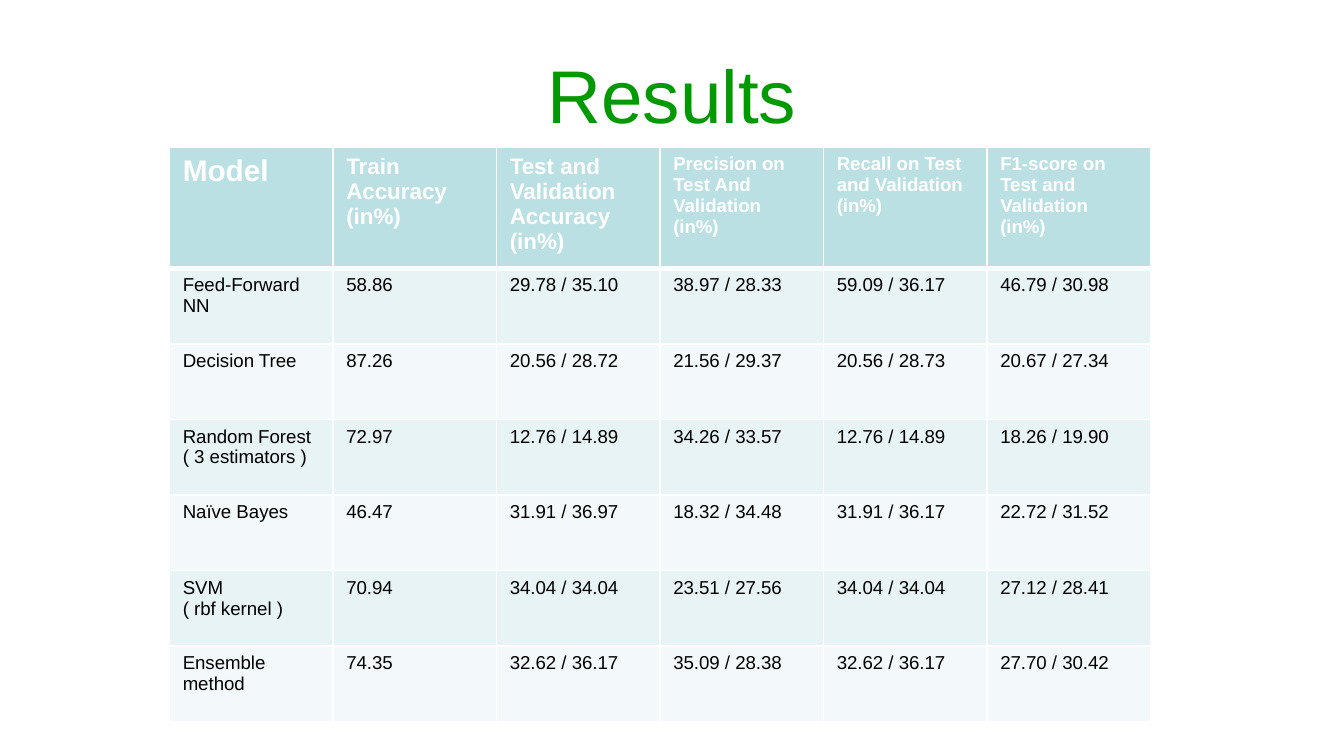
from lxml import etree
from pptx import Presentation
from pptx.dml.color import RGBColor
from pptx.enum.text import MSO_ANCHOR, PP_ALIGN
from pptx.oxml.ns import qn
from pptx.util import Inches, Pt

MIDDLE = MSO_ANCHOR.MIDDLE
LEFT, CENTER = PP_ALIGN.LEFT, PP_ALIGN.CENTER

WIDTH = Inches(10)
HEIGHT = WIDTH * 9 // 16
COL, ROW = Inches(7.3) // 6, HEIGHT // 10
TABLE_SIDE = Inches(3.28)
FONT = "Arial"
COLORS = {
    "title": "009900",
    "header": "BBE0E3",
    "odd": "E7F3F4",
    "even": "F3F9FA",
    "white": "FFFFFF",
    "text": "000000",
}

HEADERS = [
    ("Model", 16),
    ("Train Accuracy\n(in%)", 12),
    ("Test and Validation Accuracy (in%)", 12),
    ("Precision on Test And Validation\n(in%)", 10),
    ("Recall on Test and Validation\n(in%)", 10),
    ("F1-score on Test and Validation\n(in%)", 10),
]
RESULTS = [
    ("Feed-Forward NN", "58.86", "29.78 / 35.10", "38.97 / 28.33", "59.09 / 36.17", "46.79 / 30.98"),
    ("Decision Tree", "87.26", "20.56 / 28.72", "21.56 / 29.37", "20.56 / 28.73", "20.67 / 27.34"),
    ("Random Forest\n( 3 estimators )", "72.97", "12.76 / 14.89", "34.26 / 33.57", "12.76 / 14.89", "18.26 / 19.90"),
    ("Naïve Bayes", "46.47", "31.91 / 36.97", "18.32 / 34.48", "31.91 / 36.17", "22.72 / 31.52"),
    ("SVM \n( rbf kernel )", "70.94", "34.04 / 34.04", "23.51 / 27.56", "34.04 / 34.04", "27.12 / 28.41"),
    ("Ensemble method", "74.35", "32.62 / 36.17", "35.09 / 28.38", "32.62 / 36.17", "27.70 / 30.42"),
]


def rgb(name):
    return RGBColor.from_string(COLORS[name])


def write(tf, text, size=10, color="text", bold=False, align=LEFT):
    tf.word_wrap = True
    for i, line in enumerate(text.split("\n")):
        p = tf.paragraphs[0] if i == 0 else tf.add_paragraph()
        p.alignment = align
        r = p.add_run()
        r.text = line
        r.font.name = FONT
        r.font.size = Pt(size)
        r.font.bold = bold
        r.font.color.rgb = rgb(color)


def add_title(s, text):
    box = s.shapes.add_textbox(WIDTH // 20, HEIGHT // 25, WIDTH * 9 // 10, HEIGHT // 6)
    tf = box.text_frame
    tf.vertical_anchor = MIDDLE
    write(tf, text, size=40, color="title", align=CENTER)


def set_borders(cell, top=1, bottom=1):
    tcPr = cell._tc.get_or_add_tcPr()
    for side, width in (("L", 1), ("R", 1), ("T", top), ("B", bottom)):
        ln = etree.SubElement(tcPr, qn(f"a:ln{side}"), w=str(Pt(width)))
        fill = etree.SubElement(ln, qn("a:solidFill"))
        etree.SubElement(fill, qn("a:srgbClr"), val=COLORS["white"])


def fill_cell(cell, text, fill, top=1, bottom=1, **fmt):
    set_borders(cell, top, bottom)
    cell.fill.solid()
    cell.fill.fore_color.rgb = rgb(fill)
    write(cell.text_frame, text, **fmt)


def add_results_table(s):
    rows, cols = len(RESULTS) + 1, len(HEADERS)
    frame = s.shapes.add_table(
        rows, cols, Inches(1.26), int(HEIGHT * 0.195), COL * cols, ROW * rows
    )
    table = frame.table
    for column in table.columns:
        column.width = COL
    for row in table.rows:
        row.height = ROW
    frame.width = frame.height = TABLE_SIDE
    for j, (text, size) in enumerate(HEADERS):
        fill_cell(table.cell(0, j), text, "header", bottom=3,
                  size=size, color="white", bold=True)
    for i, values in enumerate(RESULTS, start=1):
        for j, text in enumerate(values):
            fill_cell(table.cell(i, j), text, "odd" if i % 2 else "even",
                      top=3 if i == 1 else 1)


def main():
    prs = Presentation()
    prs.slide_width, prs.slide_height = WIDTH, HEIGHT
    s = prs.slides.add_slide(prs.slide_layouts[6])
    add_title(s, "Results")
    add_results_table(s)
    prs.save("out.pptx")


main()
